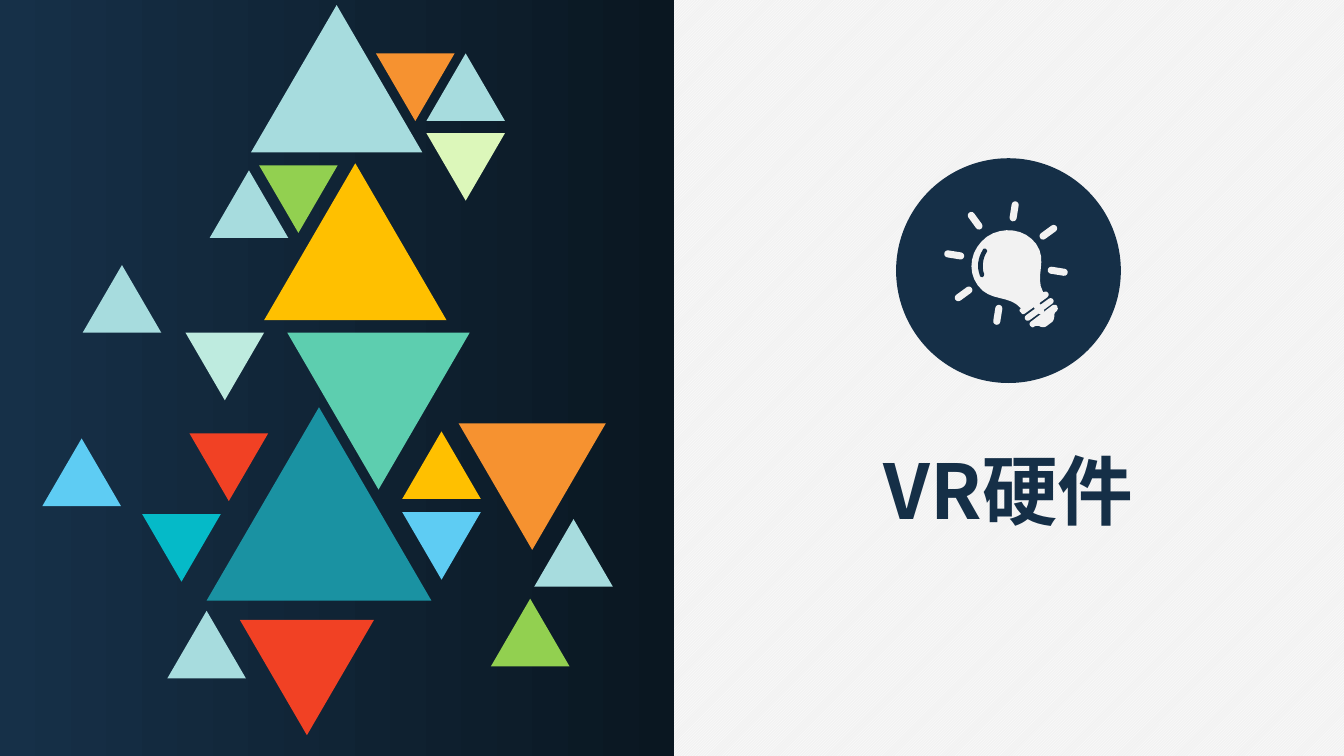
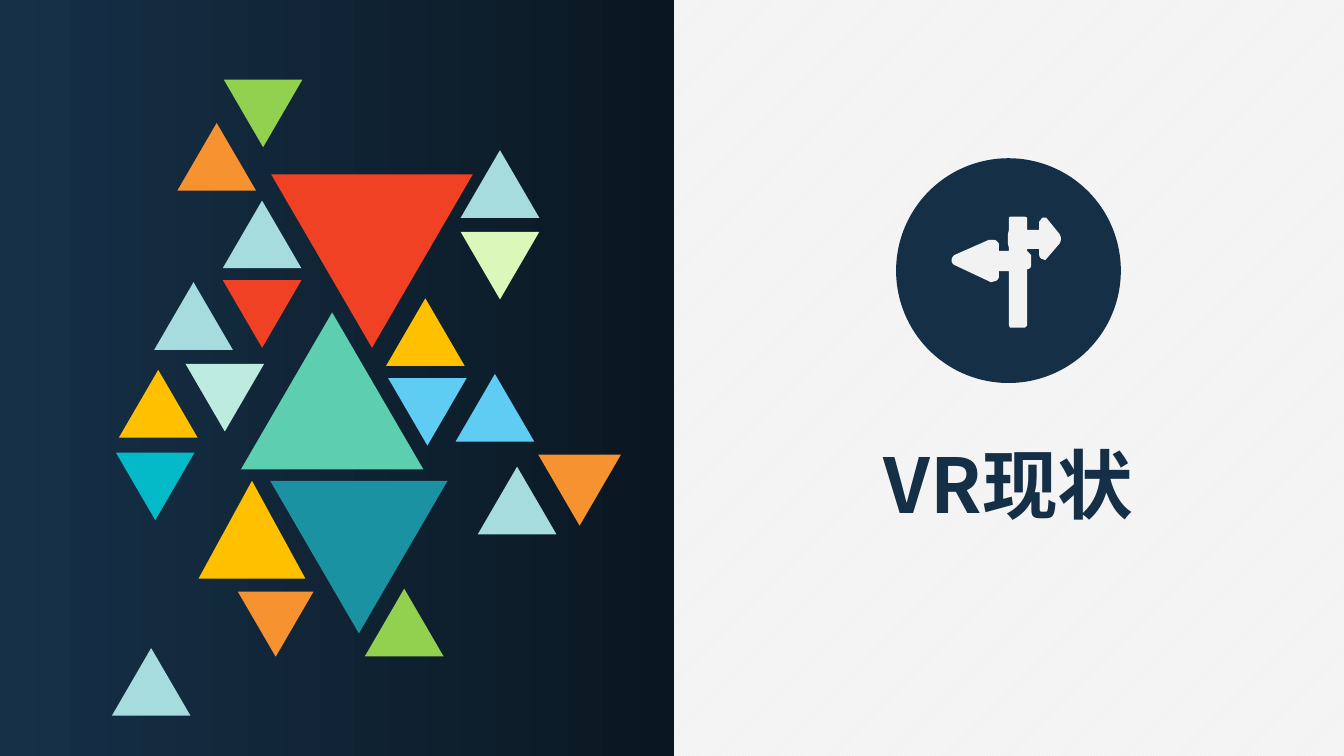
import math
import pptx
import pptx.util
import pptx.dml.color
import pptx.enum.dml
import pptx.enum.shapes
import pptx.enum.text
import pptx.oxml.ns
import lxml.etree

Inches = pptx.util.Inches
RGBColor = pptx.dml.color.RGBColor
MSO_SHAPE = pptx.enum.shapes.MSO_SHAPE

# Colours
NAVY = RGBColor(0x15, 0x2F, 0x47)
PANEL_LEFT = RGBColor(0x16, 0x30, 0x48)
PANEL_RIGHT = RGBColor(0x0A, 0x17, 0x21)
WHITE = RGBColor(0xFF, 0xFF, 0xFF)
PAPER = RGBColor(0xF2, 0xF2, 0xF2)
ICE = RGBColor(0xA7, 0xDC, 0xDE)
MINT = RGBColor(0xBE, 0xEB, 0xDF)
JADE = RGBColor(0x5D, 0xCE, 0xAF)
TEAL = RGBColor(0x1A, 0x92, 0xA2)
CYAN = RGBColor(0x05, 0xBA, 0xC8)
SKY = RGBColor(0x5E, 0xCC, 0xF3)
GREEN = RGBColor(0x92, 0xD0, 0x50)
LIME = RGBColor(0xDC, 0xF7, 0xBA)
ORANGE = RGBColor(0xF6, 0x92, 0x30)
GOLD = RGBColor(0xFF, 0xC0, 0x00)
RED = RGBColor(0xF1, 0x41, 0x24)

FONT = "Noto Sans CJK SC"
SMALL = 0.78        # side of the small triangles
RATIO = 0.86        # triangle height over side

# Triangles: left, top, side, colour and, where it differs, height
HARDWARE_UP = [
    (0.82, 2.63, SMALL, ICE), (4.23, 0.53, SMALL, ICE), (2.05, 4.04, 2.23, TEAL),
    (1.66, 6.06, SMALL, ICE), (0.42, 4.35, SMALL, SKY), (2.08, 1.69, SMALL, ICE),
    (3.99, 4.28, SMALL, GOLD), (5.3, 5.15, SMALL, ICE), (2.62, 1.62, 1.81, GOLD),
    (4.87, 5.94, SMALL, GREEN), (2.49, 0.05, 1.7, ICE),
]
HARDWARE_DOWN = [
    (1.84, 3.3, SMALL, MINT), (2.85, 3.3, 1.81, JADE), (2.57, 1.64, SMALL, GREEN),
    (4.23, 1.32, SMALL, LIME), (1.41, 5.1, SMALL, CYAN), (4.55, 4.2, 1.46, ORANGE),
    (3.99, 5.08, SMALL, SKY), (1.88, 4.3, SMALL, RED), (2.38, 6.15, 1.33, RED),
    (3.73, 0.53, SMALL, ORANGE),
]
STATUS_UP = [
    (1.53, 2.8, SMALL, ICE), (4.57, 1.49, SMALL, ICE), (2.39, 3.1, 1.81, JADE),
    (1.11, 6.43, SMALL, ICE), (4.52, 3.71, SMALL, SKY), (1.76, 1.22, SMALL, ORANGE),
    (2.21, 1.99, SMALL, ICE), (3.83, 2.96, SMALL, GOLD), (4.74, 4.63, SMALL, ICE),
    (3.62, 5.84, SMALL, GREEN), (1.18, 3.67, SMALL, GOLD), (1.97, 4.77, 1.06, GOLD, 0.97),
]
STATUS_DOWN = [
    (1.84, 3.61, SMALL, MINT), (2.68, 4.77, 1.76, TEAL), (2.22, 0.79, SMALL, GREEN),
    (4.57, 2.3, SMALL, LIME), (1.15, 4.49, SMALL, CYAN), (5.34, 4.51, 0.82, ORANGE),
    (3.85, 3.75, SMALL, SKY), (2.21, 2.78, SMALL, RED), (2.36, 5.87, 0.75, ORANGE),
    (2.69, 1.73, 2, RED),
]

# Outlines: pairs are corners, sixes are cubic curves
BULB = [
    (10.4, 2.91), (10.41, 2.92, 10.4, 2.94, 10.39, 2.95), (10.17, 3.11),
    (10.15, 3.12, 10.14, 3.12, 10.13, 3.1), (10.11, 3.09, 10.11, 3.07, 10.13, 3.06),
    (10.01, 2.92, 9.82, 3, 9.7, 2.83), (9.59, 2.68, 9.63, 2.47, 9.79, 2.35),
    (9.95, 2.24, 10.17, 2.27, 10.28, 2.42), (10.4, 2.59, 10.26, 2.74, 10.35, 2.9),
    (10.37, 2.89, 10.39, 2.89, 10.4, 2.91),
]
GLINT = [
    (9.78, 2.47), (9.77, 2.46, 9.75, 2.47, 9.75, 2.48), (9.7, 2.56, 9.69, 2.65, 9.72, 2.73),
    (9.72, 2.74, 9.73, 2.75, 9.75, 2.75), (9.76, 2.74, 9.77, 2.72, 9.76, 2.71),
    (9.74, 2.65, 9.75, 2.56, 9.79, 2.5), (9.8, 2.49, 9.79, 2.48, 9.78, 2.47),
]
BULB_TIP = [
    (10.44, 3.03), (10.23, 3.19), (10.21, 3.2, 10.21, 3.23, 10.23, 3.24),
    (10.24, 3.25, 10.25, 3.25, 10.26, 3.24), (10.28, 3.23, 10.3, 3.23, 10.32, 3.24),
    (10.34, 3.25, 10.37, 3.25, 10.39, 3.23), (10.43, 3.2),
    (10.45, 3.19, 10.46, 3.16, 10.46, 3.13), (10.46, 3.12, 10.46, 3.1, 10.48, 3.09),
    (10.49, 3.08, 10.5, 3.06, 10.49, 3.05), (10.49, 3.02, 10.46, 3.02, 10.44, 3.03),
]
SIGNPOST = [
    (10.51, 2.32), (10.38, 2.16), (10.34, 2.16), (10.31, 2.2), (10.31, 2.28), (10.19, 2.28),
    (10.19, 2.16), (10.17, 2.15), (10.02, 2.15), (10.01, 2.16), (10.01, 2.28), (10, 2.32),
    (10, 2.42), (10.01, 2.46), (10.01, 2.49), (9.91, 2.49), (9.91, 2.42),
    (9.91, 2.41, 9.89, 2.39, 9.87, 2.38), (9.81, 2.38), (9.47, 2.53),
    (9.43, 2.56, 9.43, 2.61, 9.47, 2.63), (9.81, 2.79), (9.83, 2.8), (9.87, 2.79),
    (9.89, 2.79, 9.91, 2.76, 9.91, 2.75), (9.91, 2.69), (10.01, 2.69), (10.01, 3.23),
    (10.02, 3.25), (10.17, 3.25), (10.19, 3.23), (10.19, 2.67),
    (10.21, 2.67, 10.23, 2.66, 10.23, 2.63), (10.23, 2.53), (10.19, 2.49), (10.19, 2.47),
    (10.31, 2.47), (10.31, 2.53), (10.31, 2.55, 10.33, 2.57, 10.34, 2.57), (10.37, 2.58),
    (10.38, 2.57), (10.51, 2.42), (10.53, 2.39, 10.53, 2.35, 10.51, 2.32),
]


class Deck:
    """Shared style and the slide being drawn."""

    title_font = {"name": FONT, "size": pptx.util.Pt(54), "bold": True}
    title_frame = {
        "word_wrap": True,
        "auto_size": pptx.enum.text.MSO_AUTO_SIZE.SHAPE_TO_FIT_TEXT,
        "vertical_anchor": pptx.enum.text.MSO_ANCHOR.TOP,
    }
    title_paragraph = {"alignment": pptx.enum.text.PP_ALIGN.CENTER, "line_spacing": 1.0}

    def __init__(self):
        self.prs = pptx.Presentation()
        self.prs.slide_width, self.prs.slide_height = Inches(40 / 3), Inches(7.5)
        fill = self.prs.slide_master.background.fill
        fill.patterned()
        fill.pattern = pptx.enum.dml.MSO_PATTERN.LIGHT_UPWARD_DIAGONAL
        fill.fore_color.rgb, fill.back_color.rgb = WHITE, PAPER

    def finish(self, sp, colour):
        sp.shadow.inherit = False
        sp.line.fill.background()
        sp.fill.solid()
        sp.fill.fore_color.rgb = colour
        return sp

    def shape(self, kind, x, y, w, h, colour):
        sp = self.s.shapes.add_shape(kind, Inches(x), Inches(y), Inches(w), Inches(h))
        return self.finish(sp, colour)

    def section(self, title, title_top):
        """Start a slide with its panel, title and icon disc."""
        self.s = self.prs.slides.add_slide(self.prs.slide_layouts[5])
        self.title(title, title_top)
        panel = self.shape(MSO_SHAPE.RECTANGLE, 0, 0, 6.69, 7.5, PANEL_LEFT)
        panel.fill.gradient()
        panel.fill.gradient_angle = 0
        for stop, colour in zip(panel.fill.gradient_stops, (PANEL_LEFT, PANEL_RIGHT)):
            stop.color.rgb = colour
        self.shape(MSO_SHAPE.OVAL, 8.89, 1.57, 2.23, 2.23, NAVY)

    def title(self, text, top):
        sp = self.s.shapes.title
        sp.left, sp.top, sp.width, sp.height = map(Inches, (8.61, top, 2.79, 1.01))
        tf = sp.text_frame
        p = tf.paragraphs[0]
        r = p.add_run()
        r.text = text
        for target, values in ((tf, self.title_frame), (p, self.title_paragraph),
                               (r.font, self.title_font)):
            for name, value in values.items():
                setattr(target, name, value)
        r.font.color.rgb = NAVY
        ea = lxml.etree.SubElement(r.font._element, pptx.oxml.ns.qn("a:ea"))
        ea.set("typeface", FONT)

    def triangles(self, items, down=False):
        for x, y, side, colour, *height in items:
            h = height[0] if height else side * RATIO
            sp = self.shape(MSO_SHAPE.ISOSCELES_TRIANGLE, x, y, side, h, colour)
            sp.rotation = 180 if down else 0

    def outline(self, segments, colour, steps=8):
        points = [segments[0]]
        for seg in segments[1:]:
            if len(seg) == 2:
                points.append(seg)
                continue
            curve = [points[-1], seg[:2], seg[2:4], seg[4:]]
            for i in range(1, steps + 1):
                t = i / steps
                weights = [math.comb(3, k) * t**k * (1 - t)**(3 - k) for k in range(4)]
                points.append(tuple(sum(w * c[axis] for w, c in zip(weights, curve))
                                    for axis in (0, 1)))
        emu = [(Inches(x), Inches(y)) for x, y in points]
        builder = self.s.shapes.build_freeform(*emu[0])
        builder.add_line_segments(emu[1:], close=True)
        self.finish(builder.convert_to_shape(), colour)

    def bar(self, cx, cy, length, thick, angle):
        sp = self.shape(MSO_SHAPE.ROUNDED_RECTANGLE, cx - length / 2, cy - thick / 2,
                        length, thick, PAPER)
        sp.adjustments[0] = 0.5
        sp.rotation = angle

    def bulb_icon(self):
        self.outline(BULB, PAPER)
        self.outline(GLINT, NAVY)
        self.bar(10.31, 3.07, 0.34, 0.06, -36)
        self.outline(BULB_TIP, PAPER)
        # Rays every 45 degrees, leaving out the one behind the cap
        for angle in range(99, 415, 45):
            a = math.radians(angle)
            self.bar(9.98 + 0.52 * math.cos(a), 2.61 + 0.52 * math.sin(a), 0.2, 0.07, angle)


def main():
    deck = Deck()

    # Hardware section
    deck.section("VR硬件", 4.35)
    deck.bulb_icon()
    deck.triangles(HARDWARE_UP)
    deck.triangles(HARDWARE_DOWN, down=True)

    # Current state section
    deck.section("VR现状", 4.29)
    deck.outline(SIGNPOST, PAPER)
    deck.triangles(STATUS_UP)
    deck.triangles(STATUS_DOWN, down=True)

    deck.prs.save("out.pptx")


if __name__ == "__main__":
    main()
